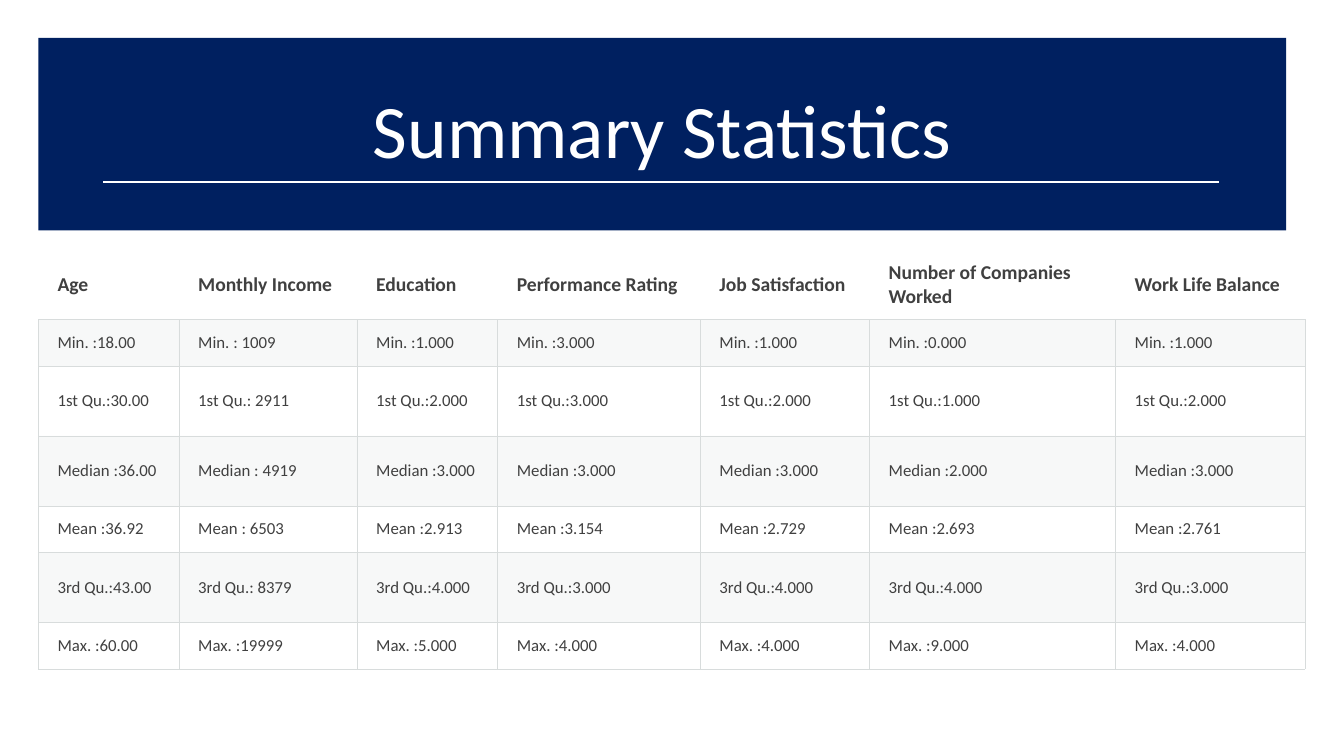
from lxml.etree import SubElement as Sub
from pptx import Presentation
from pptx.dml.color import RGBColor
from pptx.enum.shapes import MSO_CONNECTOR as Link, MSO_SHAPE as Shape
from pptx.enum.text import MSO_ANCHOR as Anchor, PP_ALIGN as Align
from pptx.oxml.ns import qn
from pptx.util import Cm, Pt

NAVY, WHITE, GREY, RULE, BAND = "002060", "FFFFFF", "404040", "D8DCDC", "D8DEDC"
LEFT = 1.93
WIDTHS = [7.09, 8.97, 7.09, 10.21, 8.53, 12.4, 9.55]
HEIGHTS = [3.53, 2.34, 3.53, 3.53, 2.34, 3.53, 2.34]
HEADS = ["Age", "Monthly Income", "Education", "Performance Rating",
         "Job Satisfaction", "Number of Companies Worked", "Work Life Balance"]
STATS = [
    ("Min. :", ["18.00", " 1009", "1.000", "3.000", "1.000", "0.000", "1.000"]),
    ("1st Qu.:", ["30.00", " 2911", "2.000", "3.000", "2.000", "1.000", "2.000"]),
    ("Median :", ["36.00", " 4919", "3.000", "3.000", "3.000", "2.000", "3.000"]),
    ("Mean :", ["36.92", " 6503", "2.913", "3.154", "2.729", "2.693", "2.761"]),
    ("3rd Qu.:", ["43.00", " 8379", "4.000", "3.000", "4.000", "4.000", "3.000"]),
    ("Max. :", ["60.00", "19999", "5.000", "4.000", "4.000", "9.000", "4.000"]),
]


def color(code):
    return RGBColor.from_string(code)


def style(para, size, code, bold=False):
    font = para.font
    font.name, font.size, font.bold = "Calibri", Pt(size), bold
    font.color.rgb = color(code)


def inset(box, left, top, right, bottom):
    box.margin_left, box.margin_top = Cm(left), Cm(top)
    box.margin_right, box.margin_bottom = Cm(right), Cm(bottom)


def add_title(slide, text):
    box = slide.shapes.add_shape(Shape.RECTANGLE, Cm(LEFT), Cm(1.91), Cm(62.89), Cm(9.7))
    box.shadow.inherit = False
    box.fill.solid()
    box.fill.fore_color.rgb = color(NAVY)
    box.line.fill.background()
    frame = box.text_frame
    frame.word_wrap = True
    frame.vertical_anchor = Anchor.MIDDLE
    inset(frame, 0.51, 0.25, 0.51, 0.25)
    para = frame.paragraphs[0]
    para.text = text
    para.alignment = Align.CENTER
    para.line_spacing = 0.9
    style(para, 108, WHITE)


def add_rule(slide):
    y = Cm(9.19)
    rule = slide.shapes.add_connector(Link.STRAIGHT, Cm(5.21), y, Cm(61.42), y)
    rule.line.color.rgb = color(WHITE)
    rule.line.width = Pt(3)
    Sub(rule._element.spPr, qn("a:effectLst"))


def add_edges(cell, sides):
    props = cell._tc.get_or_add_tcPr()
    for side in sides:
        edge = Sub(props, qn(f"a:ln{side}"), w=str(Pt(0.75)))
        fill = Sub(edge, qn("a:solidFill"))
        Sub(fill, qn("a:srgbClr"), val=RULE)


def fill_cell(cell, shaded):
    if not shaded:
        cell.fill.background()
        return
    cell.fill.solid()
    cell.fill.fore_color.rgb = color(BAND)
    tint = cell._tc.tcPr.find(f".//{qn('a:srgbClr')}[@val='{BAND}']")
    Sub(tint, qn("a:alpha"), val="20000")


def add_stats(slide):
    rows = [HEADS] + [[name + value for value in values] for name, values in STATS]
    table = slide.shapes.add_table(len(rows), len(HEADS), Cm(LEFT), Cm(12.57),
                                   Cm(sum(WIDTHS)), Cm(sum(HEIGHTS))).table
    table.horz_banding = table.first_row = False
    for col, width in zip(table.columns, WIDTHS):
        col.width = Cm(width)
    for i, (row, height, texts) in enumerate(zip(table.rows, HEIGHTS, rows)):
        row.height = Cm(height)
        head = i == 0
        for cell, text in zip(row.cells, texts):
            cell.text = text
            cell.vertical_anchor = Anchor.MIDDLE
            inset(cell, 0.97, 0.48, 0.46, 0.48)
            style(cell.text_frame.paragraphs[0], 28 if head else 24, GREY, head)
            add_edges(cell, "B" if head else "LRTB")
            fill_cell(cell, i % 2 == 1)


def main():
    deck = Presentation()
    deck.slide_width, deck.slide_height = Cm(67.74), Cm(38.1)
    slide = deck.slides.add_slide(deck.slide_layouts[6])
    add_title(slide, "Summary Statistics")
    add_stats(slide)
    add_rule(slide)
    deck.save("out.pptx")


if __name__ == "__main__":
    main()
